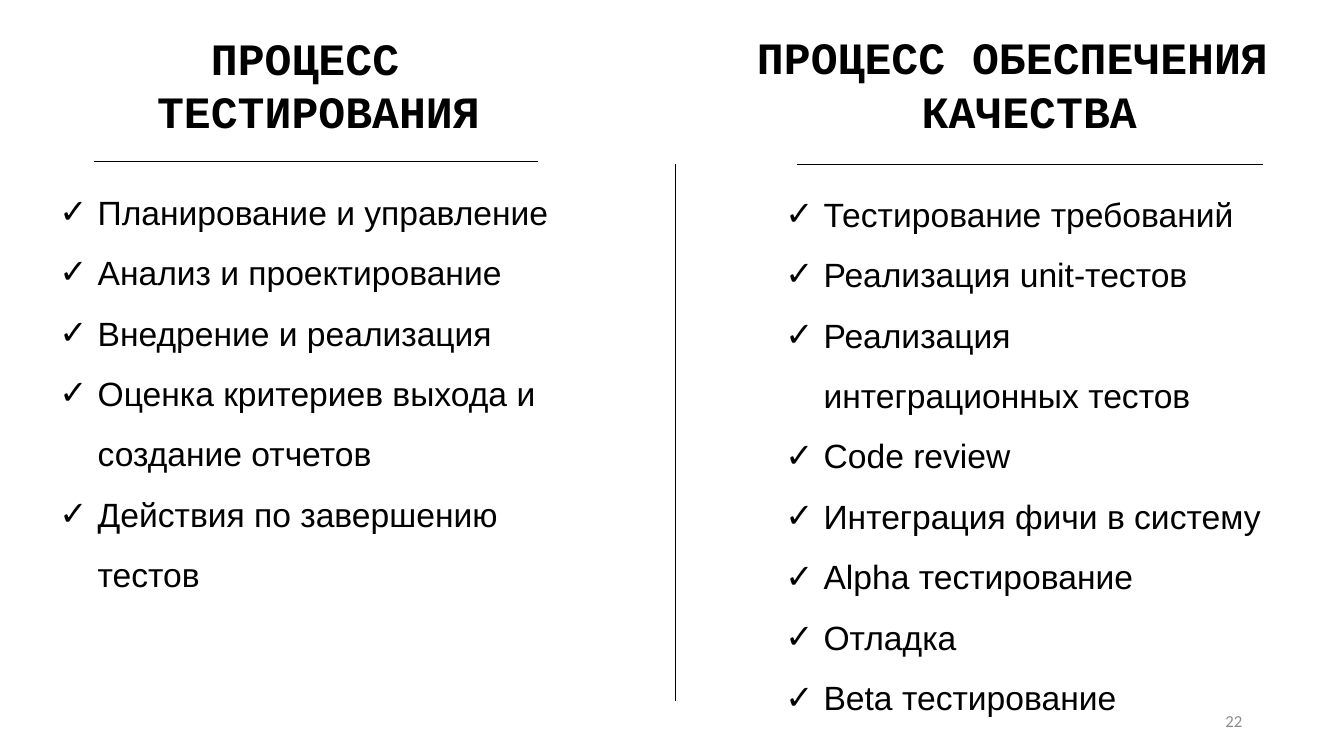
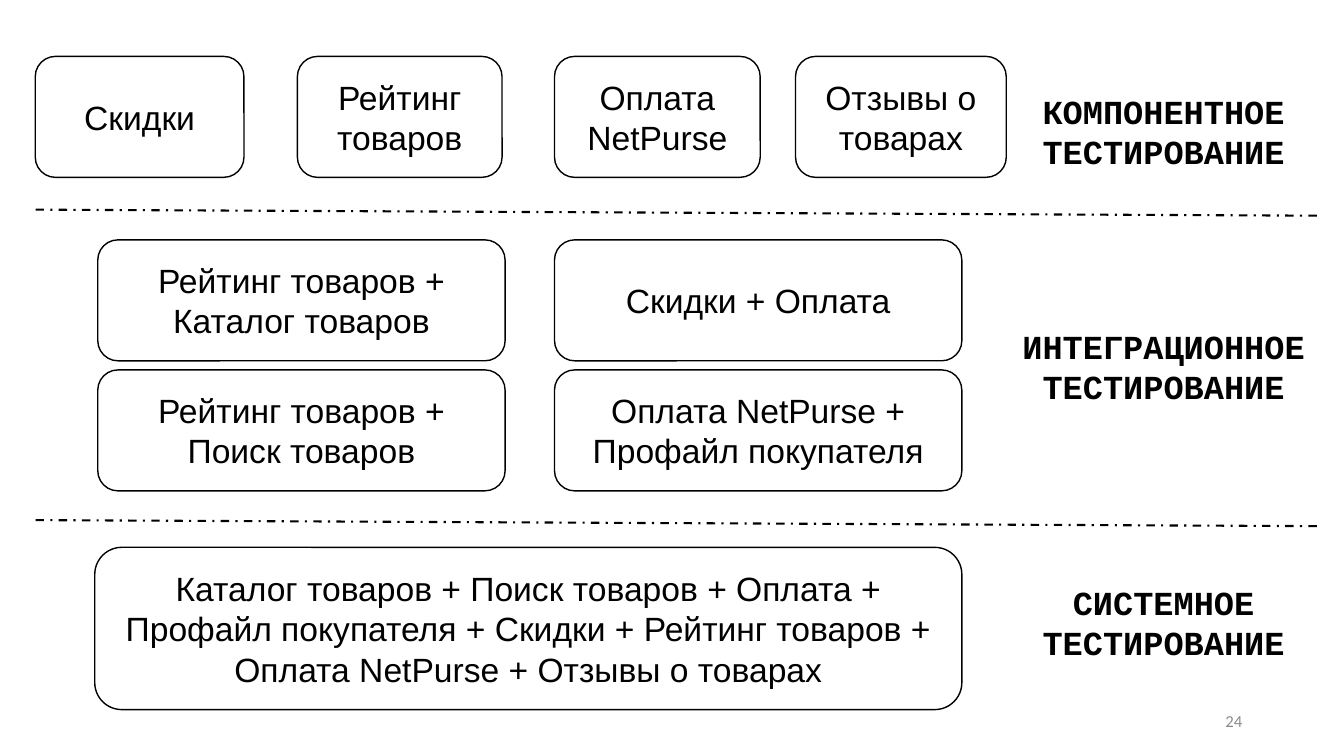
from lxml import etree
from pptx import Presentation
from pptx.dml.color import RGBColor
from pptx.enum.dml import MSO_LINE
from pptx.enum.shapes import MSO_CONNECTOR, MSO_SHAPE
from pptx.enum.text import MSO_ANCHOR, MSO_AUTO_SIZE, PP_ALIGN
from pptx.oxml.ns import qn
from pptx.util import Inches, Pt

BLACK, WHITE, GRAY = "000000", "FFFFFF", "8C8C8C"
BODY_FONT, HEADING_FONT, NUMBER_FONT = "Arial", "Courier New", "Calibri"


def write(shape, lines, size=24, font=BODY_FONT, color=BLACK, bold=False,
          align=PP_ALIGN.CENTER, anchor=MSO_ANCHOR.TOP, wrap=True):
    """Fill a shape with one paragraph per line, all in the same style."""
    frame = shape.text_frame
    frame.word_wrap = wrap
    frame.auto_size = MSO_AUTO_SIZE.NONE
    frame.vertical_anchor = anchor
    for index, line in enumerate(lines):
        para = frame.add_paragraph() if index else frame.paragraphs[0]
        para.alignment = align
        span = para.add_run()
        span.text = line
        span.font.size = Pt(size)
        span.font.name = font
        span.font.bold = bold
        span.font.color.rgb = RGBColor.from_string(color)
    return frame.paragraphs


def draw_line(page, x1, y1, x2, y2, width=0.5, dash=None):
    line = page.shapes.add_connector(
        MSO_CONNECTOR.STRAIGHT, Inches(x1), Inches(y1), Inches(x2), Inches(y2))
    line.line.color.rgb = RGBColor.from_string(BLACK)
    line.line.width = Pt(width)
    if dash:
        line.line.dash_style = dash
    etree.SubElement(line._element.spPr, qn("a:effectLst"))


deck = Presentation()
deck.slide_width, deck.slide_height = Inches(13.33), Inches(7.5)
title_only, blank = deck.slide_layouts[5], deck.slide_layouts[6]

# Two processes side by side
process_page = deck.slides.add_slide(title_only)
left_heading = process_page.shapes.title
left_heading.left, left_heading.top = Inches(1.44), Inches(0.25)
left_heading.width, left_heading.height = Inches(3.44), Inches(1.18)
right_heading = process_page.shapes.add_textbox(
    Inches(7.41), Inches(0.25), Inches(5.6), Inches(1.18))
write(left_heading, ["ПРОЦЕСС ", "ТЕСТИРОВАНИЯ"], 32, HEADING_FONT, bold=True, wrap=False)
right_lines = write(right_heading, ["ПРОЦЕСС ОБЕСПЕЧЕНИЯ", "КАЧЕСТВА"],
                    32, HEADING_FONT, bold=True, wrap=False)
right_lines[0].alignment = PP_ALIGN.LEFT

checklists = [
    ((0.49, 1.65, 5.35, 4.75), [
        "Планирование и управление",
        "Анализ и проектирование",
        "Внедрение и реализация",
        "Оценка критериев выхода и создание отчетов",
        "Действия по завершению тестов",
    ]),
    ((7.69, 1.67, 5.05, 5.55), [
        "Тестирование требований",
        "Реализация unit-тестов",
        "Реализация интеграционных тестов",
        "Code review",
        "Интеграция фичи в систему",
        "Alpha тестирование",
        "Отладка",
        "Beta тестирование",
    ]),
]
for place, items in checklists:
    box = process_page.shapes.add_textbox(*map(Inches, place))
    for para in write(box, items, align=PP_ALIGN.LEFT):
        para.line_spacing = 1.5
        properties = para._p.get_or_add_pPr()
        properties.set("marL", str(Inches(0.38)))
        properties.set("indent", str(Inches(-0.38)))
        etree.SubElement(properties, qn("a:buFont"), typeface=BODY_FONT)
        etree.SubElement(properties, qn("a:buChar"), char="✓")

draw_line(process_page, 0.93, 1.6, 5.34, 1.6)
draw_line(process_page, 7.9, 1.63, 12.53, 1.63)
draw_line(process_page, 6.7, 1.63, 6.7, 6.95)

# Three levels of testing
levels_page = deck.slides.add_slide(blank)
component_top, integration_top, box_height, row_step = 0.56, 2.38, 1.2, 1.29
boxes = [
    (left, component_top, width, box_height, text)
    for left, width, text in [
        (0.35, 2.07, "Скидки"),
        (2.95, 2.03, "Рейтинг товаров"),
        (5.5, 2.04, "Оплата NetPurse"),
        (7.89, 2.09, "Отзывы о товарах"),
    ]
]
integration_rows = [
    ("Рейтинг товаров + Каталог товаров", "Скидки + Оплата"),
    ("Рейтинг товаров + Поиск товаров", "Оплата NetPurse + Профайл покупателя"),
]
for row, texts in enumerate(integration_rows):
    for left, text in zip((0.97, 5.5), texts):
        boxes.append((left, integration_top + row * row_step, 4.04, box_height, text))
boxes.append((0.94, 5.43, 8.6, 1.61,
              "Каталог товаров + Поиск товаров + Оплата + Профайл покупателя + "
              "Скидки + Рейтинг товаров + Оплата NetPurse + Отзывы о товарах"))

for *place, text in boxes:
    box = levels_page.shapes.add_shape(MSO_SHAPE.ROUNDED_RECTANGLE, *map(Inches, place))
    box.shadow.inherit = False
    box.fill.solid()
    box.fill.fore_color.rgb = RGBColor.from_string(WHITE)
    box.line.color.rgb = RGBColor.from_string(BLACK)
    box.line.width = Pt(1)
    write(box, [text], anchor=MSO_ANCHOR.MIDDLE)

for top, level in [(0.85, "КОМПОНЕНТНОЕ"), (3.18, "ИНТЕГРАЦИОННОЕ"), (5.72, "СИСТЕМНОЕ")]:
    label = levels_page.shapes.add_textbox(
        Inches(10.03), Inches(top), Inches(3.02), Inches(0.91))
    write(label, [level, "ТЕСТИРОВАНИЕ"], font=HEADING_FONT, bold=True, wrap=False)

for y in (2.08, 5.16):
    draw_line(levels_page, 13.06, y + 0.06, 0.35, y, 1.5, MSO_LINE.DASH_DOT)

# Page numbers
for page, number in [(process_page, "22"), (levels_page, "24")]:
    box = page.shapes.add_textbox(Inches(9.42), Inches(6.95), Inches(3), Inches(0.4))
    write(box, [number], 12, NUMBER_FONT, GRAY,
          align=PP_ALIGN.RIGHT, anchor=MSO_ANCHOR.MIDDLE)

deck.save("out.pptx")
